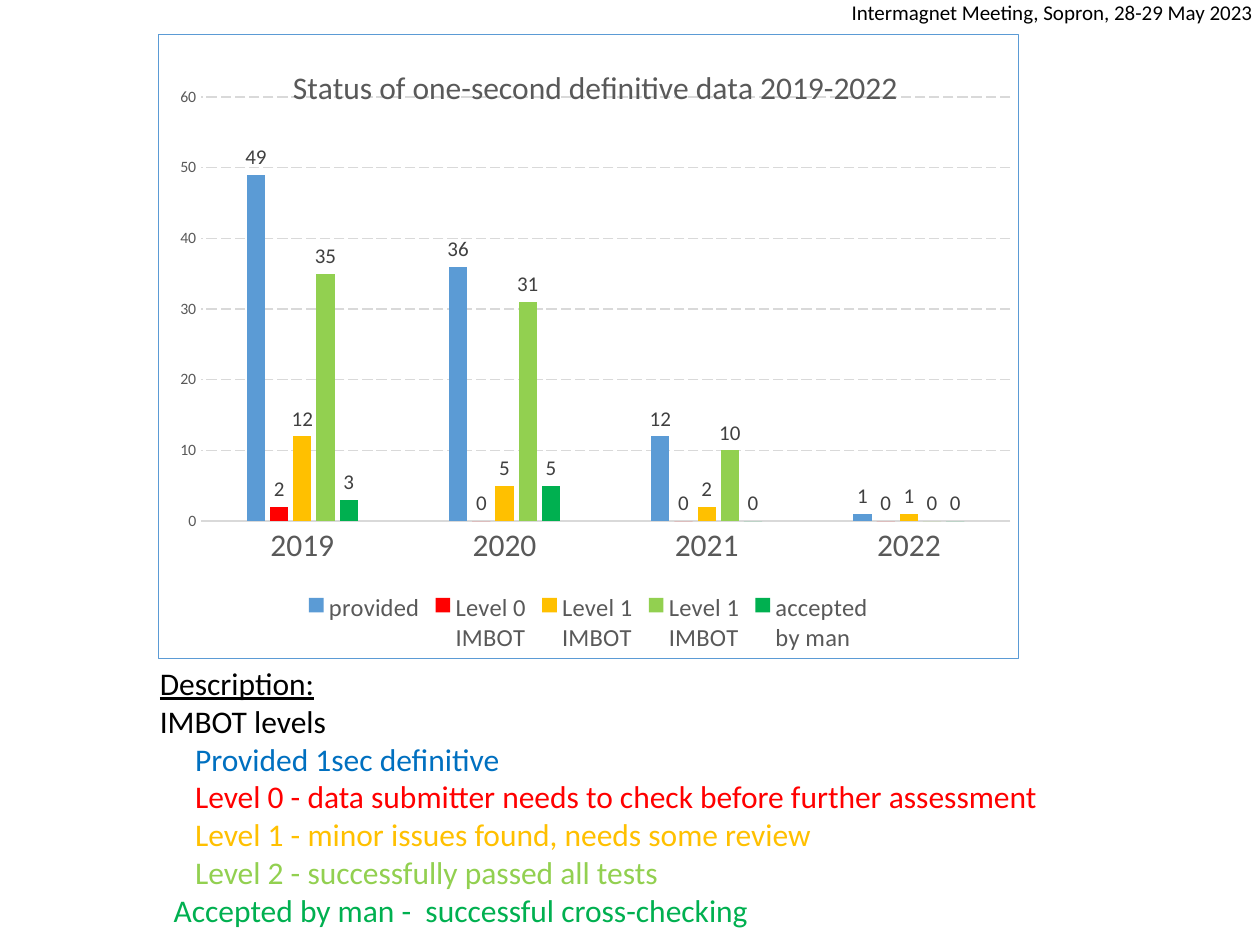
"""Build the slide on the status of one-second definitive data."""
from pptx import Presentation, util as u
from pptx.chart.data import CategoryChartData
from pptx.dml.color import RGBColor
from pptx.enum import chart as ch, dml, text
from pptx.oxml import parse_xml
from pptx.oxml.ns import nsdecls

COLORS = {
    "black": "000000", "grey": "595959", "label": "404040", "grid": "D9D9D9",
    "sky": "5B9BD5", "blue": "0070C0", "red": "FF0000", "amber": "FFC000",
    "lime": "92D050", "green": "00B050",
}
FONT = "Calibri"
HEADER = [("Intermagnet Meeting, Sopron, 28-29 May 2023", "black", 0)]
TITLE = "Status of one-second definitive data 2019-2022"
YEARS = ["2019", "2020", "2021", "2022"]
SERIES = [
    ("provided", (49, 36, 12, 1), "sky"),
    ("Level 0\nIMBOT", (2, 0, 0, 0), "red"),
    ("Level 1\nIMBOT", (12, 5, 2, 1), "amber"),
    ("Level 1\nIMBOT", (35, 31, 10, 0), "lime"),
    ("accepted\nby man", (3, 5, 0, 0), "green"),
]
DESCRIPTION = [
    ("Description:", "black", 0),
    ("IMBOT levels", "black", 0),
    ("Provided 1sec definitive", "blue", 0.28),
    ("Level 0 - data submitter needs to check before further assessment", "red", 0.28),
    ("Level 1 - minor issues found, needs some review", "amber", 0.28),
    ("Level 2 - successfully passed all tests", "lime", 0.28),
    ("Accepted by man -  successful cross-checking", "green", 0.11),
]


def rgb(name):
    return RGBColor.from_string(COLORS[name])


def set_font(font, size, color):
    font.name, font.size, font.bold = FONT, u.Pt(size), False
    font.color.rgb = rgb(color)


def set_line(line, color):
    line.color.rgb = rgb(color)
    line.width = u.Pt(0.75)


def add_text(s, box, lines, size):
    tf = s.shapes.add_textbox(*map(u.Inches, box)).text_frame
    tf.word_wrap = False
    tf.auto_size = text.MSO_AUTO_SIZE.SHAPE_TO_FIT_TEXT
    tf.text = "\n".join(line[0] for line in lines)
    for p, (_, color, indent) in zip(tf.paragraphs, lines):
        p.alignment = text.PP_ALIGN.LEFT
        if indent:
            p._p.get_or_add_pPr().set("marL", str(u.Inches(indent)))
        set_font(p.runs[0].font, size, color)
    return tf


def layout(x, y, w=None, h=None):
    parts = [("xMode", "edge"), ("yMode", "edge"), ("x", x), ("y", y)]
    if w:
        parts = [("layoutTarget", "inner")] + parts + [("w", w), ("h", h)]
    body = "".join(f'<c:{tag} val="{val}"/>' for tag, val in parts)
    return parse_xml(f'<c:layout {nsdecls("c")}><c:manualLayout>{body}'
                     '</c:manualLayout></c:layout>')


def style_axes(chart):
    cat, val = chart.category_axis, chart.value_axis
    for axis, size in ((cat, 18), (val, 9)):
        axis.major_tick_mark = axis.minor_tick_mark = ch.XL_TICK_MARK.NONE
        set_font(axis.tick_labels.font, size, "grey")
    set_line(cat.format.line, "grid")
    val.format.line.fill.background()
    val.minimum_scale, val.maximum_scale, val.major_unit = 0, 60, 10
    grid = val.major_gridlines.format.line
    set_line(grid, "grid")
    grid.dash_style = dml.MSO_LINE.LONG_DASH


def add_status_chart(s):
    data = CategoryChartData()
    data.categories = YEARS
    for name, values, _ in SERIES:
        data.add_series(name, values)
    box = map(u.Inches, (1.25, 0.27, 6.84, 4.96))
    chart = s.shapes.add_chart(ch.XL_CHART_TYPE.COLUMN_CLUSTERED, *box, data).chart
    set_font(chart.font, 10, "black")

    title = chart.chart_title
    title.text_frame.text = TITLE
    set_font(title.text_frame.paragraphs[0].runs[0].font, 18, "grey")
    title._element.get_or_add_tx().addnext(layout(0.15, 0.04))
    title.include_in_layout = False
    for old in title._element.findall("{*}layout")[1:]:
        title._element.remove(old)

    chart.has_legend = True
    chart.legend.position = ch.XL_LEGEND_POSITION.BOTTOM
    chart.legend.include_in_layout = False
    set_font(chart.legend.font, 14, "grey")
    style_axes(chart)

    plot = chart.plots[0]
    plot.gap_width, plot.overlap, plot.vary_by_categories = 500, -27, False
    for series, (_, _, color) in zip(plot.series, SERIES):
        series.format.fill.solid()
        series.format.fill.fore_color.rgb = rgb(color)
        labels = series.data_labels
        labels.show_value = True
        labels.position = ch.XL_LABEL_POSITION.OUTSIDE_END
        set_font(labels.font, 12, "label")

    area = chart._chartSpace.chart.plotArea
    for old in area.findall("{*}layout"):
        area.remove(old)
    area.insert(0, layout(0.05, 0.1, 0.94, 0.68))
    border = parse_xml(
        f'<c:spPr {nsdecls("c", "a")}><a:noFill/><a:ln w="{u.Pt(0.75)}"><a:solidFill>'
        f'<a:srgbClr val="{COLORS["sky"]}"/></a:solidFill></a:ln></c:spPr>')
    chart._chartSpace.chart.addnext(border)


def main():
    prs = Presentation()
    prs.slide_width, prs.slide_height = u.Inches(10), u.Inches(7.5)
    s = prs.slides.add_slide(prs.slide_layouts[6])
    tf = add_text(s, (1.17, 5.22, 7.26, 2.22), DESCRIPTION, 18)
    tf.paragraphs[0].runs[0].font.underline = True
    add_status_chart(s)
    add_text(s, (6.66, -0.05, 3.42, 0.3), HEADER, 12)
    prs.save("out.pptx")


if __name__ == "__main__":
    main()
